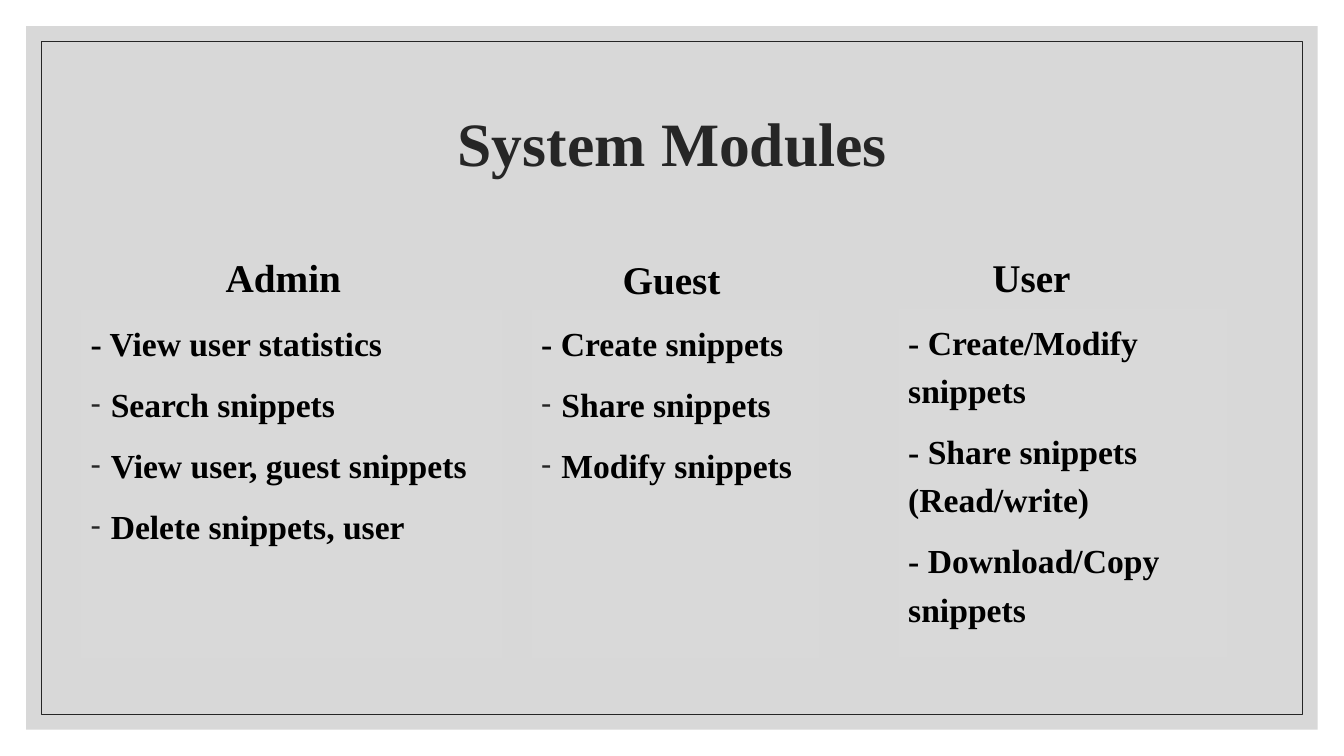
from lxml import etree
from pptx import Presentation, util as u
from pptx.dml.color import RGBColor
from pptx.enum import shapes, text
from pptx.oxml.ns import qn

WIDTH, HEIGHT = 13.33, 7.5
SERIF = "Times New Roman"
INK, BLACK, PANEL = "262626", "000000", "D9D9D9"
HEADING_HEIGHT, HEADING_WIDTH, LIST_HEIGHT = 0.7, 2.45, 3.46

MODULES = [
    ((0.8, 3.07, 4.18), 2.81, 2.35, "Admin",
     ["- View user statistics", "Search snippets",
      "View user, guest snippets", "Delete snippets, user"]),
    ((5.27, 3.07, 2.86), 6.66, 2.37, "Guest",
     ["- Create snippets", "Share snippets", "Modify snippets"]),
    ((8.91, 3.06, 3.26), 10.23, 2.35, "User",
     ["- Create/Modify snippets", "- Share snippets (Read/write)",
      "- Download/Copy snippets"]),
]


def colour(hex_code):
    """Turn a hex string into a colour."""
    return RGBColor.from_string(hex_code)


def add_panel(slide, box, fill=None, line=None):
    """Place a plain rectangle in the box."""
    panel = slide.shapes.add_shape(shapes.MSO_SHAPE.RECTANGLE, *map(u.Inches, box))
    panel.shadow.inherit = False
    if fill:
        panel.fill.solid()
        panel.fill.fore_color.rgb = colour(fill)
    else:
        panel.fill.background()
    if line:
        panel.line.color.rgb = colour(line)
        panel.line.width = u.Pt(0.5)
    else:
        panel.line.fill.background()
    return panel


def style(paragraph, size, hex_code, spacing, align):
    """Format a paragraph and its runs in bold serif."""
    paragraph.alignment = align
    paragraph.line_spacing = spacing
    for run in paragraph.runs:
        run.font.name = SERIF
        run.font.size = u.Pt(size)
        run.font.bold = True
        run.font.color.rgb = colour(hex_code)


def add_heading(slide, box, wording, size, hex_code, spacing):
    """Place a centred heading in the box."""
    heading = slide.shapes.add_textbox(*map(u.Inches, box)).text_frame
    heading.word_wrap = True
    heading.vertical_anchor = text.MSO_ANCHOR.MIDDLE
    heading.text = wording
    style(heading.paragraphs[0], size, hex_code, spacing, text.PP_ALIGN.CENTER)


def add_dash(paragraph):
    """Give a paragraph a hanging dash bullet."""
    props = paragraph._p.get_or_add_pPr()
    props.set("marL", str(u.Inches(0.2)))
    props.set("indent", str(-u.Inches(0.2)))
    bullet_colour = etree.SubElement(props, qn("a:buClr"))
    etree.SubElement(bullet_colour, qn("a:srgbClr"), val=INK)
    etree.SubElement(props, qn("a:buFont"), typeface="Calibri")
    etree.SubElement(props, qn("a:buChar"), char="-")


def add_module(slide, box, centre, heading_top, name, features):
    """Place a module heading and the list of its features."""
    add_heading(slide, (centre - HEADING_WIDTH / 2, heading_top,
                        HEADING_WIDTH, HEADING_HEIGHT), name, 28, BLACK, 1.2)
    frame = add_panel(slide, (*box, LIST_HEIGHT), fill=PANEL).text_frame
    frame.word_wrap = True
    frame.vertical_anchor = text.MSO_ANCHOR.TOP
    for index, feature in enumerate(features):
        item = frame.add_paragraph() if index else frame.paragraphs[0]
        item.text = feature
        if not feature.startswith("-"):
            add_dash(item)
        if index:
            item.space_before = u.Pt(9)
        style(item, 24, BLACK, 1.2, text.PP_ALIGN.LEFT)


def add_backdrop(slide):
    """Place the translucent grey panel and its thin inner frame."""
    for margin, fill, line in ((0.26, "BFBFBF", None), (0.41, None, INK)):
        box = (margin, margin, WIDTH - 2 * margin, HEIGHT - 2 * margin)
        panel = add_panel(slide, box, fill, line)
        if fill:
            tint = panel.fill._xPr.find(qn("a:solidFill"))[0]
            etree.SubElement(tint, qn("a:alpha"), val="60000")


def main():
    """Build the slide and save it."""
    deck = Presentation()
    deck.slide_width, deck.slide_height = u.Inches(WIDTH), u.Inches(HEIGHT)
    slide = deck.slides.add_slide(deck.slide_layouts[6])
    add_backdrop(slide)
    add_heading(slide, (1.17, 0.7, 11, 1.5), "System Modules", 44, INK, 0.9)
    for module in MODULES:
        add_module(slide, *module)
    deck.save("out.pptx")


if __name__ == "__main__":
    main()
